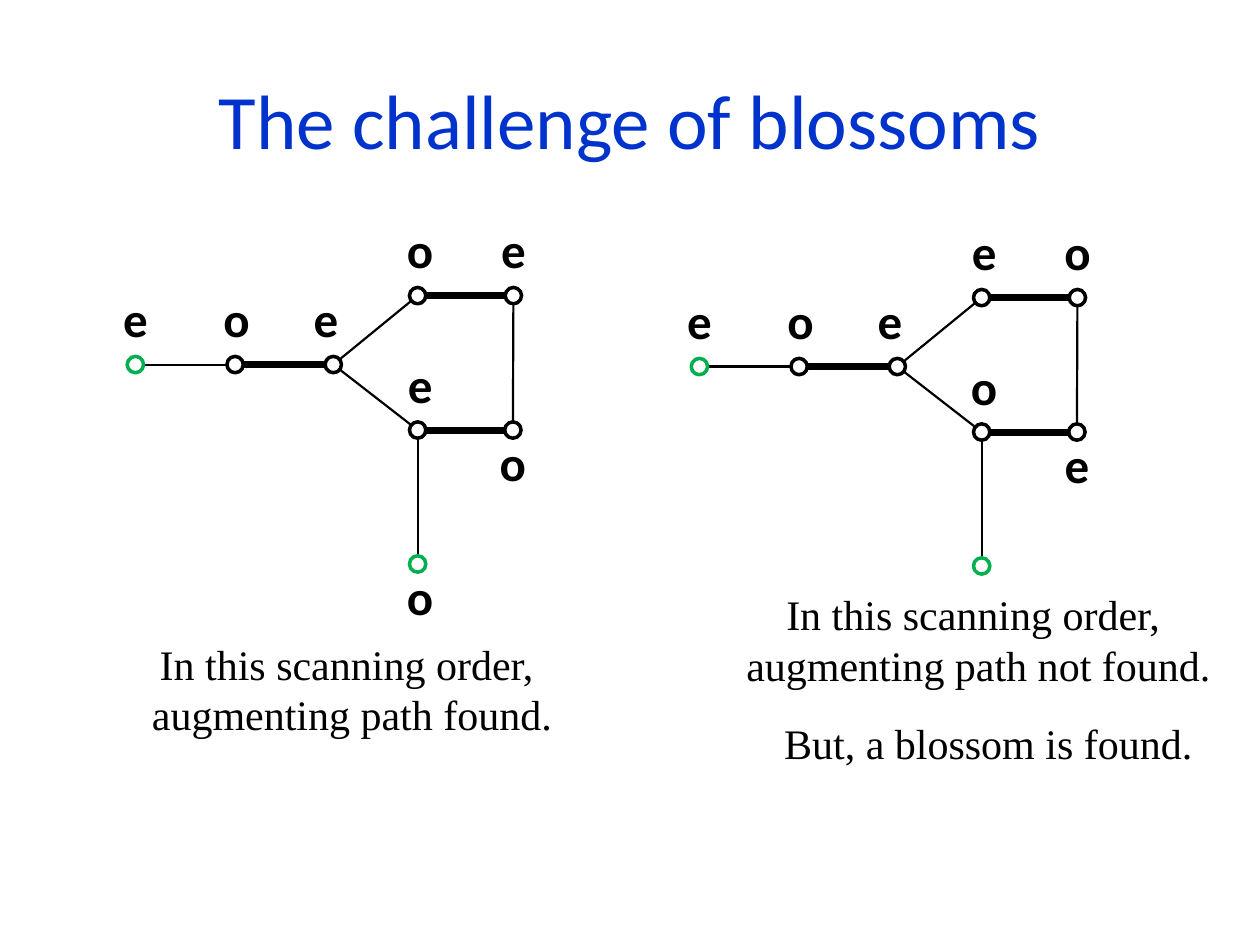
import math

import pptx
import pptx.util
from lxml import etree
from pptx.dml.color import RGBColor
from pptx.enum.shapes import MSO_CONNECTOR, MSO_SHAPE
from pptx.enum.text import MSO_ANCHOR, MSO_AUTO_SIZE, PP_ALIGN
from pptx.oxml.ns import qn
from pptx.util import Cm, Pt

BLACK = RGBColor(0x00, 0x00, 0x00)
WHITE = RGBColor(0xFF, 0xFF, 0xFF)
GREEN = RGBColor(0x00, 0xB0, 0x50)
BLUE = RGBColor(0x00, 0x33, 0xCC)

# Content, lengths in cm
TITLE = "The challenge of blossoms"

# node: (centre x, centre y, colour, label shift x, label below the node)
NODES = {
    "root": (2.73, 7.35, GREEN, 0, False),
    "inner": (4.74, 7.35, BLACK, 0.03, False),
    "base": (6.72, 7.35, BLACK, -0.15, False),
    "top left": (8.42, 5.96, BLACK, 0.05, False),
    "top right": (10.35, 5.96, BLACK, 0, False),
    "bottom left": (8.42, 8.67, BLACK, 0.05, False),
    "bottom right": (10.34, 8.67, BLACK, 0, True),
    "free end": (8.42, 11.37, GREEN, 0.05, True),
}
THIN, MATCHED = 1.25, 4
EDGES = [
    ("inner", "root", THIN),
    ("inner", "base", MATCHED),
    ("bottom left", "base", THIN),
    ("bottom left", "bottom right", MATCHED),
    ("top left", "top right", MATCHED),
    ("top left", "base", THIN),
    ("top right", "bottom right", THIN),
    ("bottom left", "free end", THIN),
]
# (shift x, shift y, labels in node order)
GRAPHS = [(0, 0, "eoeoeeoo"), (11.37, 0.04, "eoeeooe")]

# (left, top, height, text); \v is a line break
CAPTIONS = [
    (2.08, 12.73, 2.31, "In this scanning order, \vaugmenting path found."),
    (14.71, 11.73, 2.31, "In this scanning order, \vaugmenting path not found."),
    (14.91, 14.33, 1.27, "But, a blossom is found."),
]

RADIUS = 0.165
LABEL_W, LABEL_H = 1.14, 1.45
LABEL_ABOVE, LABEL_BELOW = -1.65, -0.08
CAPTION_W = 10.03


def format_text(tf, text, font, size, color, bold=False, anchor=MSO_ANCHOR.MIDDLE):
    tf.word_wrap = True
    tf.auto_size = MSO_AUTO_SIZE.SHAPE_TO_FIT_TEXT
    tf.vertical_anchor = anchor
    p = tf.paragraphs[0]
    p.text = text
    p.alignment = PP_ALIGN.CENTER
    p.font.name = font
    p.font.size = Pt(size)
    p.font.bold = bold
    p.font.color.rgb = color


def add_edge(shapes, a, b, width):
    """Draw a line from rim to rim between two node centres."""
    dx, dy = b[0] - a[0], b[1] - a[1]
    k = RADIUS / math.hypot(dx, dy)
    c = shapes.add_connector(
        MSO_CONNECTOR.STRAIGHT,
        Cm(a[0] + k * dx), Cm(a[1] + k * dy),
        Cm(b[0] - k * dx), Cm(b[1] - k * dy))
    c.line.color.rgb = BLACK
    c.line.width = Pt(width)
    etree.SubElement(c._element.spPr, qn("a:effectLst"))


def add_node(shapes, x, y, color):
    sp = shapes.add_shape(MSO_SHAPE.OVAL, Cm(x - RADIUS), Cm(y - RADIUS),
                          Cm(2 * RADIUS), Cm(2 * RADIUS))
    sp.shadow.inherit = False
    sp.fill.solid()
    sp.fill.fore_color.rgb = WHITE
    sp.line.color.rgb = color
    sp.line.width = Pt(2)


def add_graph(s, shift_x, shift_y, labels):
    shapes = s.shapes.add_group_shape().shapes
    centres = {name: (n[0] + shift_x, n[1] + shift_y) for name, n in NODES.items()}
    for start, end, width in EDGES:
        add_edge(shapes, centres[start], centres[end], width)
    for name, node in NODES.items():
        add_node(shapes, *centres[name], node[2])

    # Even and odd labels
    for (name, node), label in zip(NODES.items(), labels):
        x, y = centres[name]
        top = y + (LABEL_BELOW if node[4] else LABEL_ABOVE)
        box = s.shapes.add_textbox(Cm(x + node[3] - LABEL_W / 2), Cm(top),
                                   Cm(LABEL_W), Cm(LABEL_H))
        format_text(box.text_frame, label, "Calibri", 28, BLACK, True, MSO_ANCHOR.TOP)


def main():
    prs = pptx.Presentation()
    prs.slide_width, prs.slide_height = Cm(25.4), Cm(19.05)
    s = prs.slides.add_slide(prs.slide_layouts[5])

    # Title
    title = s.shapes.title
    title.left, title.top, title.width, title.height = Cm(0), Cm(1.45), Cm(25.4), Cm(1.88)
    tf = title.text_frame
    tf.margin_left = tf.margin_right = tf.margin_top = tf.margin_bottom = 0
    format_text(tf, TITLE, "Calibri", 44, BLUE)

    # Graphs
    for graph in GRAPHS:
        add_graph(s, *graph)

    # Captions
    for left, top, height, text in CAPTIONS:
        box = s.shapes.add_textbox(Cm(left), Cm(top), Cm(CAPTION_W), Cm(height))
        format_text(box.text_frame, text, "Times New Roman", 24, BLACK)

    prs.save("out.pptx")


if __name__ == "__main__":
    main()
